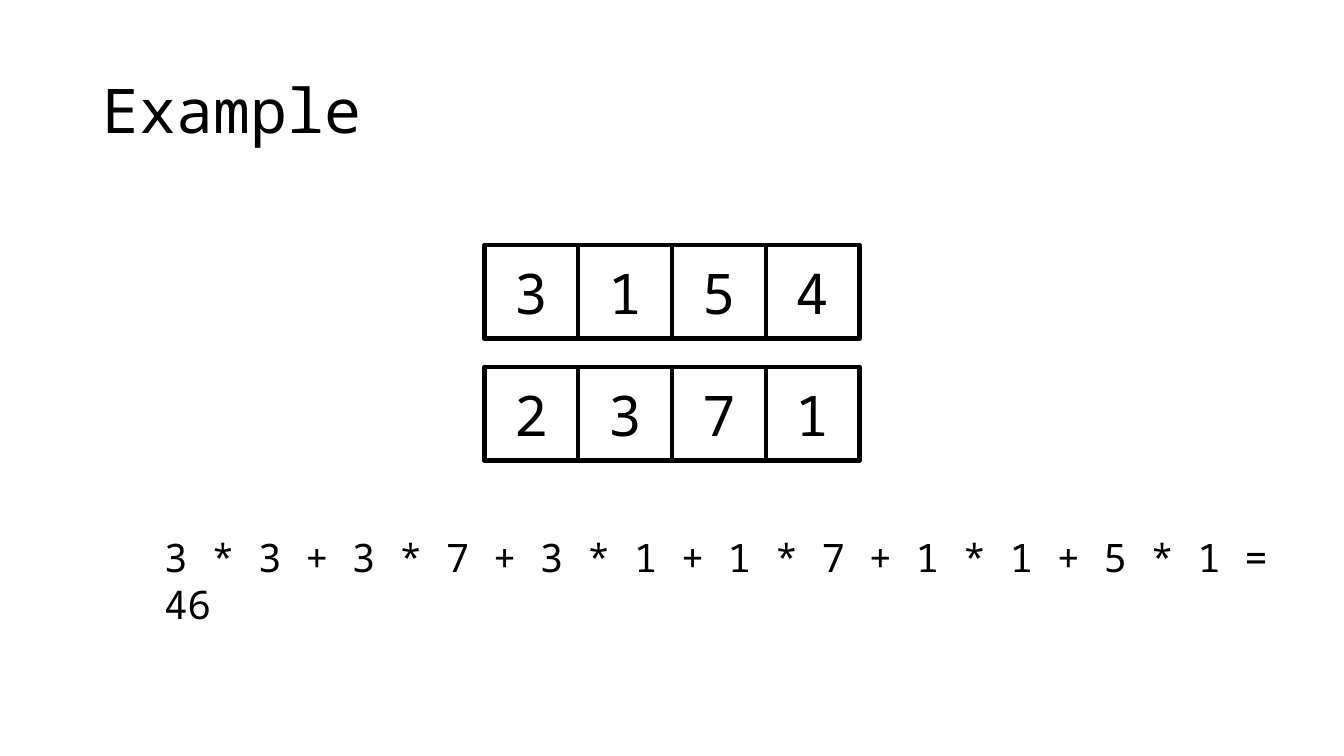
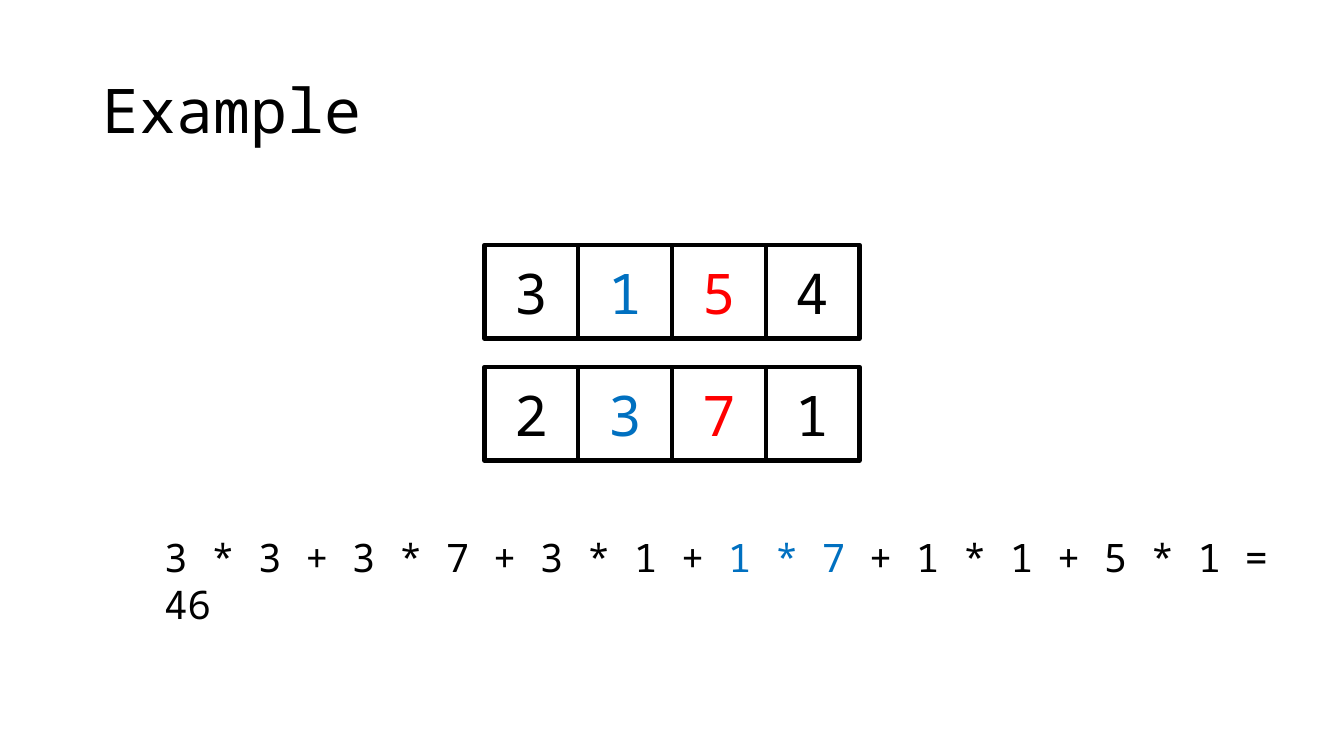
from dataclasses import dataclass

from pptx import Presentation
from pptx.dml.color import RGBColor
from pptx.enum.shapes import MSO_SHAPE
from pptx.enum.text import MSO_ANCHOR, PP_ALIGN
from pptx.slide import Slide
from pptx.text.text import _Paragraph as Paragraph
from pptx.util import Inches, Pt

COLORS = {"ink": "000000", "paper": "FFFFFF", "blue": "0070C0", "red": "FF0000"}
FONT = "Noto Sans Mono"
SLIDE_WIDTH, SLIDE_HEIGHT = 13.33, 7.5

# Grid of number cells, centred across the slide
CELL = 0.93
ROW_PITCH = 1.21
GRID_TOP = 2.43
ROWS = ("3154", "2371")


@dataclass(frozen=True)
class Span:
    text: str
    color: str = "ink"


@dataclass(frozen=True)
class Example:
    column_colors: tuple[str, ...]
    formula: tuple[Span, ...]


EXAMPLES = (
    Example(
        ("ink",) * 4,
        (Span("3 * 3 + 3 * 7 + 3 * 1 + 1 * 7 + 1 * 1 + 5 * 1 = 46"),),
    ),
    Example(
        ("ink", "blue", "red", "ink"),
        (
            Span("3 * 3 + 3 * 7 + 3 * 1 + "),
            Span("1 * 7 ", "blue"),
            Span("+ 1 * 1 + 5 * 1 = 46"),
        ),
    ),
)


def color(name: str) -> RGBColor:
    return RGBColor.from_string(COLORS[name])


def write(paragraph: Paragraph, spans: tuple[Span, ...], size: int) -> None:
    paragraph.font.name = FONT
    paragraph.font.size = Pt(size)
    for span in spans:
        run = paragraph.add_run()
        run.text = span.text
        run.font.color.rgb = color(span.color)


def add_text(slide: Slide, left: float, top: float, width: float, height: float,
             spans: tuple[Span, ...], size: int,
             anchor: MSO_ANCHOR = MSO_ANCHOR.TOP) -> Paragraph:
    box = slide.shapes.add_textbox(
        Inches(left), Inches(top), Inches(width), Inches(height))
    frame = box.text_frame
    frame.word_wrap = True
    frame.vertical_anchor = anchor
    write(frame.paragraphs[0], spans, size)
    return frame.paragraphs[0]


def add_number_row(slide: Slide, row: int, digits: str,
                   column_colors: tuple[str, ...]) -> None:
    group = slide.shapes.add_group_shape()
    left = (SLIDE_WIDTH - len(digits) * CELL) / 2
    top = GRID_TOP + row * ROW_PITCH
    for column, (digit, digit_color) in enumerate(zip(digits, column_colors)):
        cell = group.shapes.add_shape(
            MSO_SHAPE.RECTANGLE, Inches(left + column * CELL), Inches(top),
            Inches(CELL), Inches(CELL))
        cell.shadow.inherit = False
        cell.fill.solid()
        cell.fill.fore_color.rgb = color("paper")
        cell.line.color.rgb = color("ink")
        cell.line.width = Pt(3)
        cell.text_frame.vertical_anchor = MSO_ANCHOR.MIDDLE
        paragraph = cell.text_frame.paragraphs[0]
        paragraph.alignment = PP_ALIGN.CENTER
        write(paragraph, (Span(digit, digit_color),), 40)


def add_example(slide: Slide, example: Example) -> None:
    # Title
    title = add_text(slide, 0.92, 0.4, 11.5, 1.45, (Span("Example"),), 44,
                     MSO_ANCHOR.MIDDLE)
    title.line_spacing = 0.9
    # Two rows of numbers
    for row, digits in enumerate(ROWS):
        add_number_row(slide, row, digits, example.column_colors)
    # Sum of products
    add_text(slide, 1.53, 5.24, 11.2, 1.04, example.formula, 28)


def main() -> None:
    presentation = Presentation()
    presentation.slide_width = Inches(SLIDE_WIDTH)
    presentation.slide_height = Inches(SLIDE_HEIGHT)
    blank_layout = presentation.slide_layouts[6]
    for example in EXAMPLES:
        add_example(presentation.slides.add_slide(blank_layout), example)
    presentation.save("out.pptx")


if __name__ == "__main__":
    main()
